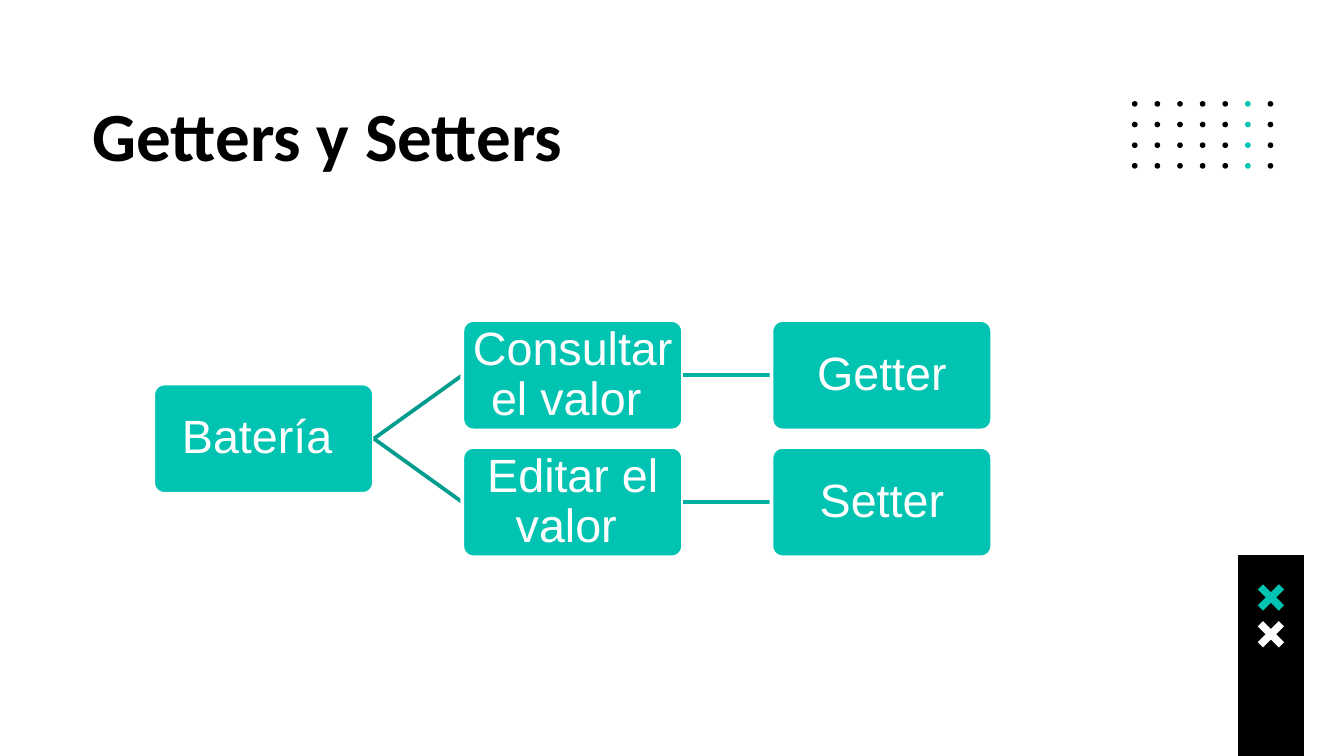
from dataclasses import dataclass
from itertools import product

from lxml import etree
from pptx import Presentation
from pptx.dml.color import RGBColor
from pptx.enum.shapes import MSO_CONNECTOR, MSO_SHAPE
from pptx.enum.text import MSO_ANCHOR, MSO_AUTO_SIZE, PP_ALIGN
from pptx.oxml.ns import qn
from pptx.util import Inches, Pt

STRAIGHT = MSO_CONNECTOR.STRAIGHT
RECTANGLE, ROUNDED, OVAL = MSO_SHAPE.RECTANGLE, MSO_SHAPE.ROUNDED_RECTANGLE, MSO_SHAPE.OVAL
TOP, MIDDLE = MSO_ANCHOR.TOP, MSO_ANCHOR.MIDDLE
NO_AUTOFIT = MSO_AUTO_SIZE.NONE
LEFT, CENTER = PP_ALIGN.LEFT, PP_ALIGN.CENTER
LEFT_SIDE, RIGHT_SIDE = 1, 3
TITLE_ONLY = 5
COLUMNS, ROWS = 100, 56.25
CELL = Inches(0.1)


@dataclass(frozen=True)
class Theme:
    black: str = "000000"
    white: str = "FFFFFF"
    teal: str = "00C3B1"
    branch: str = "009C8E"
    twig: str = "00B1A1"
    title_font: str = "Calibri"
    body_font: str = "Arial"
    title_size: float = 37
    body_size: float = 25
    stroke: float = 2


@dataclass(frozen=True)
class Box:
    x: float
    y: float
    w: float
    h: float

    def emu(self):
        return [round(side * CELL) for side in (self.x, self.y, self.w, self.h)]


THEME = Theme()


def rgb(color):
    return RGBColor.from_string(color)


def write(target, text, *, font, size, color, bold=False, align=LEFT,
          anchor=TOP, margin=0.1, spacing=1.0):
    frame = target.text_frame
    frame.word_wrap = True
    frame.auto_size = NO_AUTOFIT
    frame.vertical_anchor = anchor
    frame.margin_left = frame.margin_right = Inches(margin)
    frame.margin_top = frame.margin_bottom = Inches(margin)
    paragraph = frame.paragraphs[0]
    paragraph.alignment = align
    paragraph.line_spacing = spacing
    run = paragraph.add_run()
    run.text = text
    run.font.name, run.font.size, run.font.bold = font, Pt(size), bold
    run.font.color.rgb = rgb(color)


def paint(shape, fill, outline=None):
    shape.shadow.inherit = False
    shape.fill.solid()
    shape.fill.fore_color.rgb = rgb(fill)
    if outline:
        shape.line.color.rgb = rgb(outline)
        shape.line.width = Pt(THEME.stroke)
    else:
        shape.line.fill.background()
    return shape


def dot_grid(slide, box, columns=7, rows=4, accent=5, dot=0.42):
    step_x = (box.w - dot) / (columns - 1)
    step_y = (box.h - dot) / (rows - 1)
    for row, column in product(range(rows), range(columns)):
        place = Box(box.x + column * step_x, box.y + row * step_y, dot, dot)
        color = THEME.teal if column == accent else THEME.black
        paint(slide.shapes.add_shape(OVAL, *place.emu()), color)


def cross(slide, box, color):
    points = [(0.2, 0), (0, 0.2), (0.3, 0.5), (0, 0.8), (0.2, 1), (0.5, 0.7),
              (0.8, 1), (1, 0.8), (0.7, 0.5), (1, 0.2), (0.8, 0), (0.5, 0.3)]
    corners = [(round((box.x + x * box.w) * CELL), round((box.y + y * box.h) * CELL))
               for x, y in points]
    builder = slide.shapes.build_freeform(*corners[0])
    builder.add_line_segments(corners[1:], close=True)
    paint(builder.convert_to_shape(), color)


def corner_band(slide, box):
    paint(slide.shapes.add_shape(RECTANGLE, *box.emu()), THEME.black)
    size = 0.4 * box.w
    for index, color in enumerate((THEME.teal, THEME.white)):
        cross(slide, Box(box.x + 0.3 * box.w, box.y + 2.18 + index * 2.74, size, size), color)


def heading(slide, box, text):
    title = slide.shapes.title
    title.left, title.top, title.width, title.height = box.emu()
    write(title, text, font=THEME.title_font, size=THEME.title_size,
          color=THEME.black, bold=True)


def tree(slide, box, root_text, branches):
    node_w, node_h = 16.42, 8.21
    step_x = (box.w - node_w) / 2
    step_y = (box.h - node_h) / (len(branches) - 1)

    def node(text, column, row):
        place = Box(box.x + column * step_x, box.y + row * step_y, node_w, node_h)
        shape = slide.shapes.add_shape(ROUNDED, *place.emu())
        shape.adjustments[0] = 0.1
        paint(shape, THEME.teal, THEME.white)
        write(shape, text, font=THEME.body_font, size=THEME.body_size,
              color=THEME.white, align=CENTER, anchor=MIDDLE, margin=0.02, spacing=0.9)
        return shape

    def child(parent, text, column, row, color):
        link = slide.shapes.add_connector(STRAIGHT, 0, 0, 0, 0)
        link.line.color.rgb = rgb(color)
        link.line.width = Pt(THEME.stroke)
        etree.SubElement(link._element.spPr, qn("a:effectLst"))
        shape = node(text, column, row)
        link.begin_connect(parent, RIGHT_SIDE)
        link.end_connect(shape, LEFT_SIDE)
        return shape

    root = node(root_text, 0, (len(branches) - 1) / 2)
    for row, (action, method) in enumerate(branches):
        branch = child(root, action, 1, row, THEME.branch)
        child(branch, method, 2, row, THEME.twig)


def main():
    deck = Presentation()
    deck.slide_width, deck.slide_height = round(COLUMNS * CELL), round(ROWS * CELL)
    slide = deck.slides.add_slide(deck.slide_layouts[TITLE_ONLY])
    slide.background.fill.solid()
    slide.background.fill.fore_color.rgb = rgb(THEME.white)
    dot_grid(slide, Box(84.22, 7.52, 10.52, 5.03))
    corner_band(slide, Box(92.12, 41.3, 4.9, ROWS - 41.3))
    heading(slide, Box(5.9, 5.9, 88.6, 7.9), "Getters y Setters")
    tree(slide, Box(11.4, 23.82, 62.42, 17.65), "Batería ",
         [("Consultar el valor ", "Getter"), ("Editar el valor ", "Setter")])
    deck.save("out.pptx")


if __name__ == "__main__":
    main()
